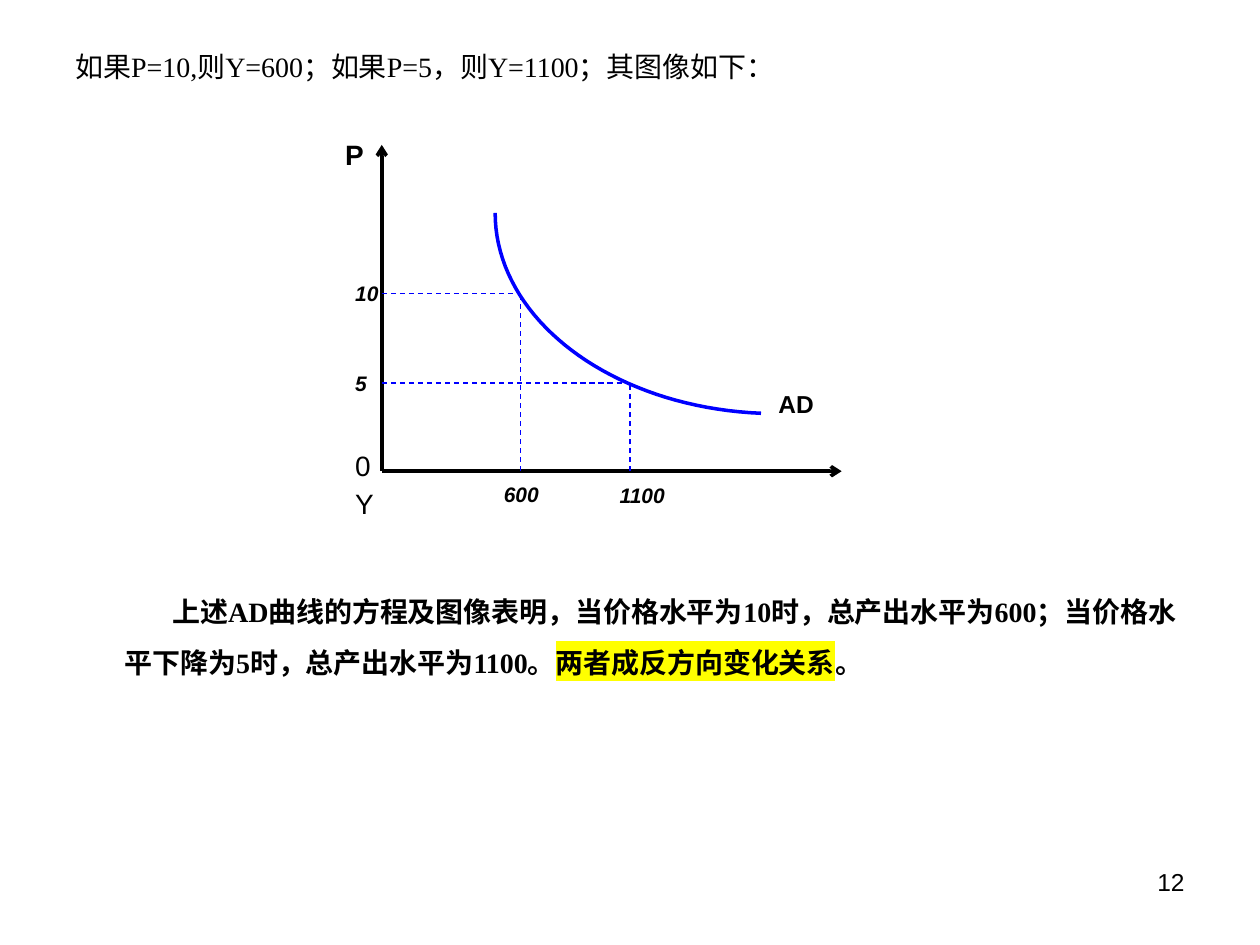
from dataclasses import dataclass

from lxml import etree
from pptx import Presentation
from pptx.dml.color import RGBColor
from pptx.enum import dml, text
from pptx.enum import shapes as kinds
from pptx.oxml import ns
from pptx.util import Inches, Pt

COLORS = {"ink": "000000", "curve": "0000FF", "mark": "FFFF00"}
SERIF, SANS = "Times New Roman", "Arial"
ORIGIN = (3.03, 3.74)
DEMAND = ((6.04, 3.28), (4.85, 3.23), (3.93, 2.53), (3.93, 1.69))
CURVE_STEPS = 40


@dataclass
class Words:
    content: str
    size: float = 16
    font: str = SANS
    bold: bool = False
    italic: bool = False
    highlight: str = ""


@dataclass
class Label:
    left: float
    top: float
    width: float
    height: float
    words: Words


@dataclass
class Point:
    output: float
    price: float


def rgb(name: str) -> RGBColor:
    return RGBColor.from_string(COLORS[name])


def add_words(paragraph, words: Words) -> None:
    run = paragraph.add_run()
    run.text = words.content
    font = run.font
    font.size, font.name = Pt(words.size), words.font
    font.bold, font.italic = words.bold, words.italic
    font.color.rgb = rgb("ink")
    if words.highlight:
        highlight = etree.Element(ns.qn("a:highlight"))
        etree.SubElement(highlight, ns.qn("a:srgbClr"), val=COLORS[words.highlight])
        run._r.rPr.find(ns.qn("a:latin")).addprevious(highlight)


def add_frame(slide, left: float, top: float, width: float, height: float, wrap: bool = True):
    box = slide.shapes.add_textbox(Inches(left), Inches(top), Inches(width), Inches(height))
    box.text_frame.word_wrap = wrap
    return box.text_frame


def add_label(slide, label: Label) -> None:
    frame = add_frame(slide, label.left, label.top, label.width, label.height, wrap=False)
    add_words(frame.paragraphs[0], label.words)


def add_line(slide, start: tuple, end: tuple, color: str, width: float,
             dashed: bool = False, arrow: bool = False) -> None:
    line = slide.shapes.add_connector(
        kinds.MSO_CONNECTOR.STRAIGHT, *(Inches(value) for value in start + end))
    line.line.color.rgb = rgb(color)
    line.line.width = Pt(width)
    if dashed:
        line.line.dash_style = dml.MSO_LINE.DASH
    if arrow:
        etree.SubElement(line.line._get_or_add_ln(), ns.qn("a:tailEnd"), type="arrow")
    etree.SubElement(line._element.spPr, ns.qn("a:effectLst"))


def bezier(controls: tuple, t: float) -> tuple:
    weights = ((1 - t) ** 3, 3 * t * (1 - t) ** 2, 3 * t ** 2 * (1 - t), t ** 3)
    return tuple(Inches(sum(w * c[axis] for w, c in zip(weights, controls)))
                 for axis in (0, 1))


def add_curve(slide, controls: tuple) -> None:
    points = [bezier(controls, step / CURVE_STEPS) for step in range(CURVE_STEPS + 1)]
    builder = slide.shapes.build_freeform(*points[0])
    builder.add_line_segments(points[1:], close=False)
    curve = builder.convert_to_shape()
    curve.shadow.inherit = False
    curve.fill.background()
    curve.line.color.rgb = rgb("curve")
    curve.line.width = Pt(2)


def add_guides(slide, point: Point) -> None:
    corner = (point.output, point.price)
    for foot in ((ORIGIN[0], point.price), (point.output, ORIGIN[1])):
        add_line(slide, foot, corner, "curve", 0.75, dashed=True)


def add_graph(slide) -> None:
    for tip in ((6.68, ORIGIN[1]), (ORIGIN[0], 1.15)):
        add_line(slide, ORIGIN, tip, "ink", 2, arrow=True)
    add_curve(slide, DEMAND)
    for point in (Point(4.13, 2.33), Point(5, 3.04)):
        add_guides(slide, point)

    axis_names = add_frame(slide, 2.72, 3.51, 4.68, 0.67)
    add_words(axis_names.paragraphs[0], Words("0"))
    output_name = axis_names.add_paragraph()
    output_name.space_before = Pt(2.5)
    add_words(output_name, Words("Y"))

    add_label(slide, Label(2.64, 1.04, 0.35, 0.37, Words("P", bold=True)))
    add_label(slide, Label(6.08, 3.04, 0.49, 0.34, Words("AD", 14, bold=True)))
    for value, left, top, width in (("10", 2.72, 2.18, 0.39), ("5", 2.72, 2.89, 0.3),
                                    ("600", 3.9, 3.77, 0.48), ("1100", 4.82, 3.78, 0.56)):
        add_label(slide, Label(left, top, width, 0.3, Words(value, 12, bold=True, italic=True)))


def add_conclusion(slide) -> None:
    paragraph = add_frame(slide, 0.51, 4.54, 9, 1.67).paragraphs[0]
    margins = paragraph._p.get_or_add_pPr()
    margins.set("marL", str(Inches(0.38)))
    margins.set("indent", str(Inches(0.38)))
    paragraph.line_spacing = 1.5
    for content, highlight in (
        ("上述AD曲线的方程及图像表明，当价格水平为10时，总产出水平为600；"
         "当价格水平下降为5时，总产出水平为1100。", ""),
        ("两者成反方向变化关系", "mark"),
        ("。", ""),
    ):
        add_words(paragraph, Words(content, font=SERIF, bold=True, highlight=highlight))


def main() -> None:
    deck = Presentation()
    deck.slide_width, deck.slide_height = Inches(10), Inches(7.5)
    slide = deck.slides.add_slide(deck.slide_layouts[6])

    page = add_frame(slide, 7.17, 6.83, 2.33, 0.52).paragraphs[0]
    page.alignment = text.PP_ALIGN.RIGHT
    add_words(page, Words("12", 14))

    title = add_frame(slide, 0.5, 0.3, 5.76, 0.46)
    title.vertical_anchor = text.MSO_ANCHOR.MIDDLE
    add_words(title.paragraphs[0],
              Words("如果P=10,则Y=600；如果P=5，则Y=1100；其图像如下：", font=SERIF))

    add_conclusion(slide)
    add_graph(slide)
    deck.save("out.pptx")


if __name__ == "__main__":
    main()
